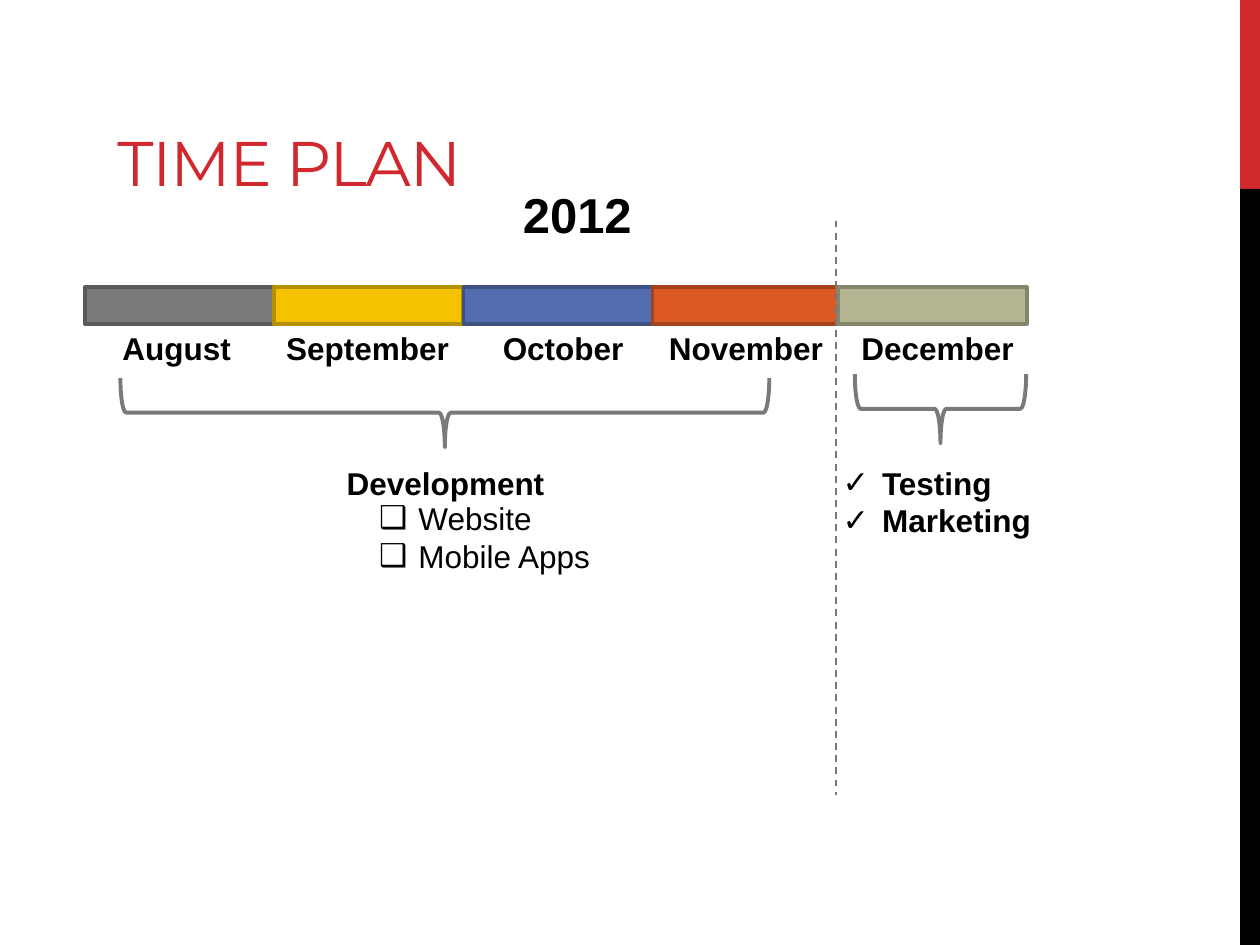
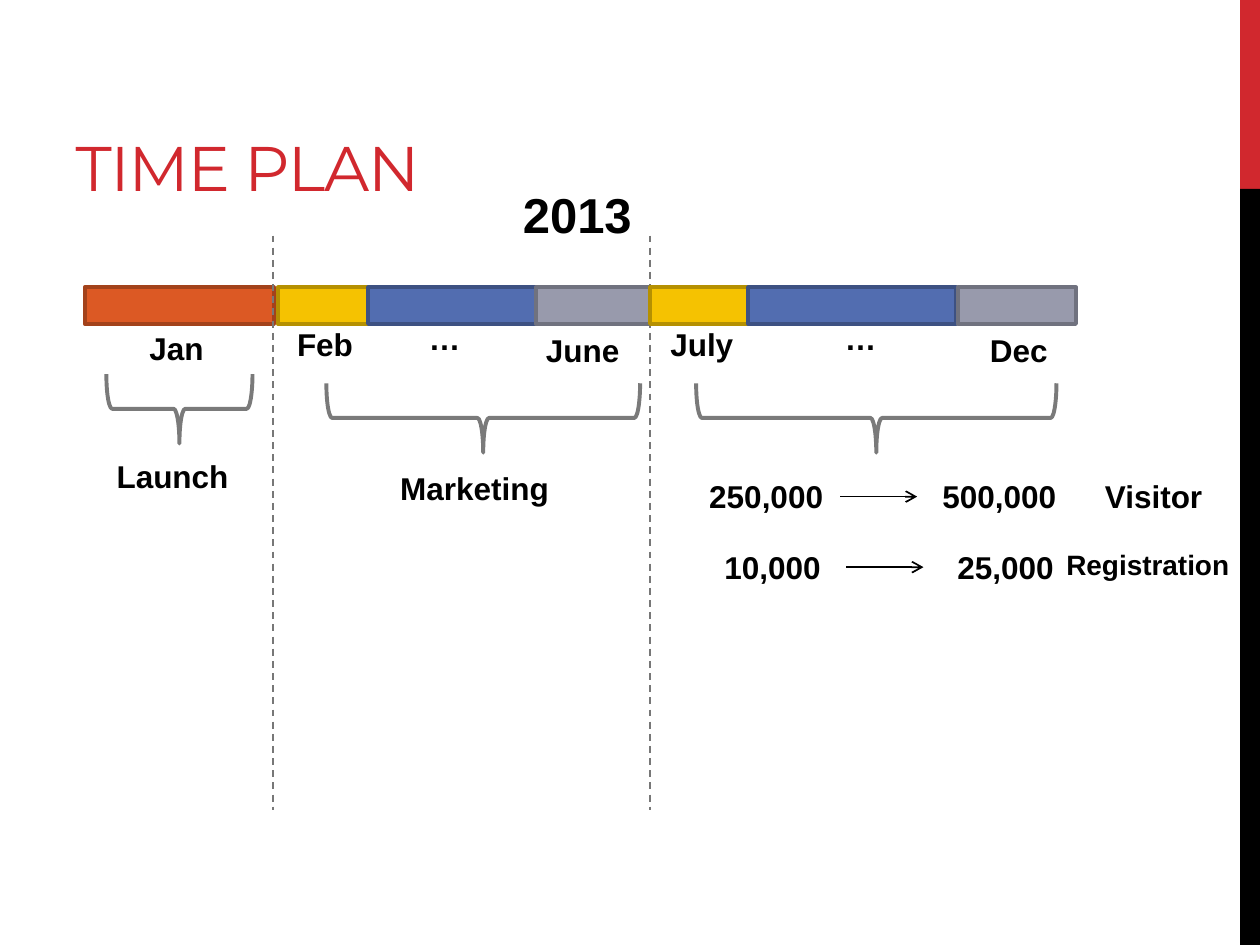
from dataclasses import dataclass

from pptx import Presentation
from pptx.dml.color import RGBColor
from pptx.enum.dml import MSO_LINE
from pptx.enum.shapes import MSO_CONNECTOR, MSO_SHAPE
from pptx.enum.text import MSO_ANCHOR, PP_ALIGN
from pptx.oxml.ns import qn
from pptx.util import Pt
from lxml.etree import SubElement

LEFT, CENTER, RIGHT = PP_ALIGN.LEFT, PP_ALIGN.CENTER, PP_ALIGN.RIGHT


@dataclass(frozen=True)
class Theme:
    red: str = "D1282E"
    black: str = "000000"
    gray: tuple = ("7A7A7A", "5A5A5A")  # each pair: fill, outline
    yellow: tuple = ("F5C201", "B59001")
    blue: tuple = ("526DB0", "3D5182")
    orange: tuple = ("DC5924", "A3421B")
    olive: tuple = ("B4B392", "85846C")
    silver: tuple = ("989AAC", "70727F")
    divider: str = "777777"
    title_font: str = "Montserrat"
    body_font: str = "Arial"
    title_size: float = 36
    year_size: float = 28
    body_size: float = 18
    small_size: float = 16
    outline: float = 2.25
    hairline: float = 1


THEME = Theme()
LABEL_HEIGHT = 29


@dataclass(frozen=True)
class Box:
    left: float
    top: float
    width: float
    height: float

    def inner(self, dx, dy, width, height):
        """A box placed relative to the top left corner of this one."""
        return Box(self.left + dx, self.top + dy, width, height)

    def lengths(self):
        return [Pt(round(value, 2)) for value in
                (self.left, self.top, self.width, self.height)]


def rgb(code):
    return RGBColor.from_string(code)


def write(frame, text, *, size=THEME.body_size, bold=True, align=CENTER,
          font=THEME.body_font, color=THEME.black, bullet=None, spacing=None):
    """Fill a text frame, one paragraph for each line of text."""
    frame.word_wrap = True
    for index, line in enumerate(text.split("\n")):
        para = frame.add_paragraph() if index else frame.paragraphs[0]
        para.alignment = align
        span = para.add_run()
        span.text = line
        span.font.name, span.font.size, span.font.bold = font, Pt(size), bold
        span.font.color.rgb = rgb(color)
        if spacing:
            span.font._element.set("spc", str(spacing))
        if bullet:
            props = para._p.get_or_add_pPr()
            props.set("marL", str(Pt(22.5)))
            props.set("indent", str(-Pt(22.5)))
            SubElement(props, qn("a:buFont")).set("typeface", THEME.body_font)
            SubElement(props, qn("a:buChar")).set("char", bullet)


def add_text(page, box, text, **style):
    write(page.shapes.add_textbox(*box.lengths()).text_frame, text, **style)


def add_bar(page, box, fill, outline=None):
    bar = page.shapes.add_shape(MSO_SHAPE.RECTANGLE, *box.lengths())
    bar.shadow.inherit = False
    bar.fill.solid()
    bar.fill.fore_color.rgb = rgb(fill)
    if outline:
        bar.line.color.rgb = rgb(outline)
        bar.line.width = Pt(THEME.outline)
    else:
        bar.line.fill.background()
    return bar


def add_line(page, box, color, dashed=False, arrow=False):
    """Draw a line from the top left to the bottom right of the box."""
    left, top, width, height = box.lengths()
    line = page.shapes.add_connector(MSO_CONNECTOR.STRAIGHT, left, top,
                                     left + width, top + height)
    line.line.color.rgb = rgb(color)
    line.line.width = Pt(THEME.hairline)
    if dashed:
        line.line.dash_style = MSO_LINE.DASH
    if arrow:
        SubElement(line.line._get_or_add_ln(), qn("a:tailEnd")).set("type", "arrow")
    SubElement(line._element.spPr, qn("a:effectLst"))


def add_brace(page, box):
    """Draw a brace that fills the box and points down."""
    turned = box.inner((box.width - box.height) / 2,
                       (box.height - box.width) / 2, box.height, box.width)
    brace = page.shapes.add_shape(MSO_SHAPE.LEFT_BRACE, *turned.lengths())
    brace.rotation = 270
    brace.shadow.inherit = False
    brace.fill.background()
    brace.line.color.rgb = rgb(THEME.gray[0])
    brace.line.width = Pt(THEME.outline)


def add_side_bands(page, layout, box):
    """Draw the two bands and hand them to the layout all pages share."""
    red_height = box.height / 5
    for color, top, height in ((THEME.red, 0, red_height),
                               (THEME.black, red_height, box.height - red_height)):
        band = add_bar(page, box.inner(0, top, box.width, height), color)
        layout.shapes._spTree.append(band._element)


def add_headings(page, title_box, year):
    title = page.shapes.title
    title.left, title.top, title.width, title.height = title_box.lengths()
    title.text_frame.vertical_anchor = MSO_ANCHOR.BOTTOM
    write(title.text_frame, "TIME PLAN", size=THEME.title_size, bold=False,
          align=LEFT, font=THEME.title_font, color=THEME.red, spacing=-60)
    add_text(page, Box(286, 102, 82, 41), year, size=THEME.year_size, align=RIGHT)


def add_months(page, box, months):
    """Each month: colours, bar offset and width, name, label offsets and width."""
    for colors, start, width, name, dx, dy, label_width, *align in months:
        add_bar(page, box.inner(start, 0, width, box.height), *colors)
        add_text(page, box.inner(dx, dy, label_width, LABEL_HEIGHT), name,
                 align=align[0] if align else CENTER)


def add_phase(page, box, caption, dx, dy, width, height=LABEL_HEIGHT, **style):
    """A brace in the box, with its caption placed relative to it."""
    add_brace(page, box)
    add_text(page, box.inner(dx, dy, width, height), caption, **style)


def add_goal(page, box, start, target, unit, unit_dx, unit_width, unit_size):
    number_width = 99.4
    add_text(page, box.inner(0, 0, number_width, box.height), start)
    add_line(page, box.inner(92, box.height / 2, 44, 0), THEME.black, arrow=True)
    add_text(page, box.inner(133.2, 0, number_width, box.height), target)
    add_text(page, box.inner(unit_dx, 0, unit_width, box.height), unit, size=unit_size)


def build_2012(page):
    add_headings(page, Box(59.8, 9.4, 455.8, 108), "2012")
    month = 108
    add_months(page, Box(48.4, 164.2, 682, 20.9), [
        (THEME.gray, 0, month, "August", 0.6, 20.2, 90, RIGHT),
        (THEME.yellow, month, month, "September", 105.8, 20.2, 109.4, RIGHT),
        (THEME.blue, 2 * month + 0.5, month, "October", 218.7, 20.2, 109.4),
        (THEME.orange, 3 * month + 0.5, month, "November", 323.1, 20.2, 109.4),
        (THEME.olive, 430.4, month, "December", 432.6, 20.2, 109.4),
    ])
    development = Box(68.8, 216, 370.8, 39.6)
    add_phase(page, development, "Development", 114.8, 45.4, 134.6, align=RIGHT)
    add_text(page, development.inner(140.7, 65.5, 152.6, 94.3),
             "Website\nMobile Apps", bold=False, align=LEFT, bullet="❑")
    add_phase(page, Box(488.5, 213.8, 97.9, 39.6), "Testing\nMarketing",
              -14, 47.6, 134.6, 51, align=LEFT, bullet="✓")
    add_line(page, Box(477.6, 126, 0, 328.3), THEME.divider, dashed=True)


def build_2013(page):
    add_headings(page, Box(36, 12.2, 455.8, 108), "2013")
    add_months(page, Box(48.4, 164.2, 323, 20.9), [
        (THEME.orange, 0, 108, "Jan", 25.8, 20.2, 53.3),
        (THEME.yellow, 110.4, 54, "Feb", 110.7, 18, 53.3),
        (THEME.blue, 162, 95.8, "…", 179.1, 14.4, 53.3),
        (THEME.silver, 257.8, 65.5, "June", 251.8, 21.6, 65.5),
    ])
    for left in (156.2, 371.5):
        add_line(page, Box(left, 134.6, 0, 328.3), THEME.divider, dashed=True)
    add_months(page, Box(371.5, 164.2, 243, 20.9), [
        (THEME.yellow, 0, 56.9, "July", 2.9, 18, 53.3),
        (THEME.blue, 56.2, 118.8, "…", 93.6, 14.4, 53.3),
        (THEME.silver, 175.7, 67.7, "Dec", 177.9, 21.6, 65.5),
    ])
    add_phase(page, Box(60.8, 213.8, 83.5, 39.6), "Launch", -2.5, 44, 80.6)
    add_phase(page, Box(186.5, 219, 179.3, 39.6), "Marketing", 23.8, 45.3, 121.7)
    add_brace(page, Box(397.8, 219, 205.9, 39.6))
    goals = Box(388.1, 269.3, 320, LABEL_HEIGHT)
    add_goal(page, goals, "250,000", "500,000", "Visitor",
             229.7, 82.8, THEME.body_size)
    add_goal(page, goals.inner(3.6, 40.3, 320, LABEL_HEIGHT), "10,000", "25,000",
             "Registration", 203, 122.4, THEME.small_size)


def main():
    deck = Presentation()
    deck.slide_width, deck.slide_height = Pt(720), Pt(540)
    layout = deck.slide_layouts.get_by_name("Title Only")
    pages = [deck.slides.add_slide(layout) for _ in range(2)]
    add_side_bands(pages[0], layout, Box(708.6, 0, 11.4, 540))
    build_2012(pages[0])
    build_2013(pages[1])
    deck.save("out.pptx")


if __name__ == "__main__":
    main()
